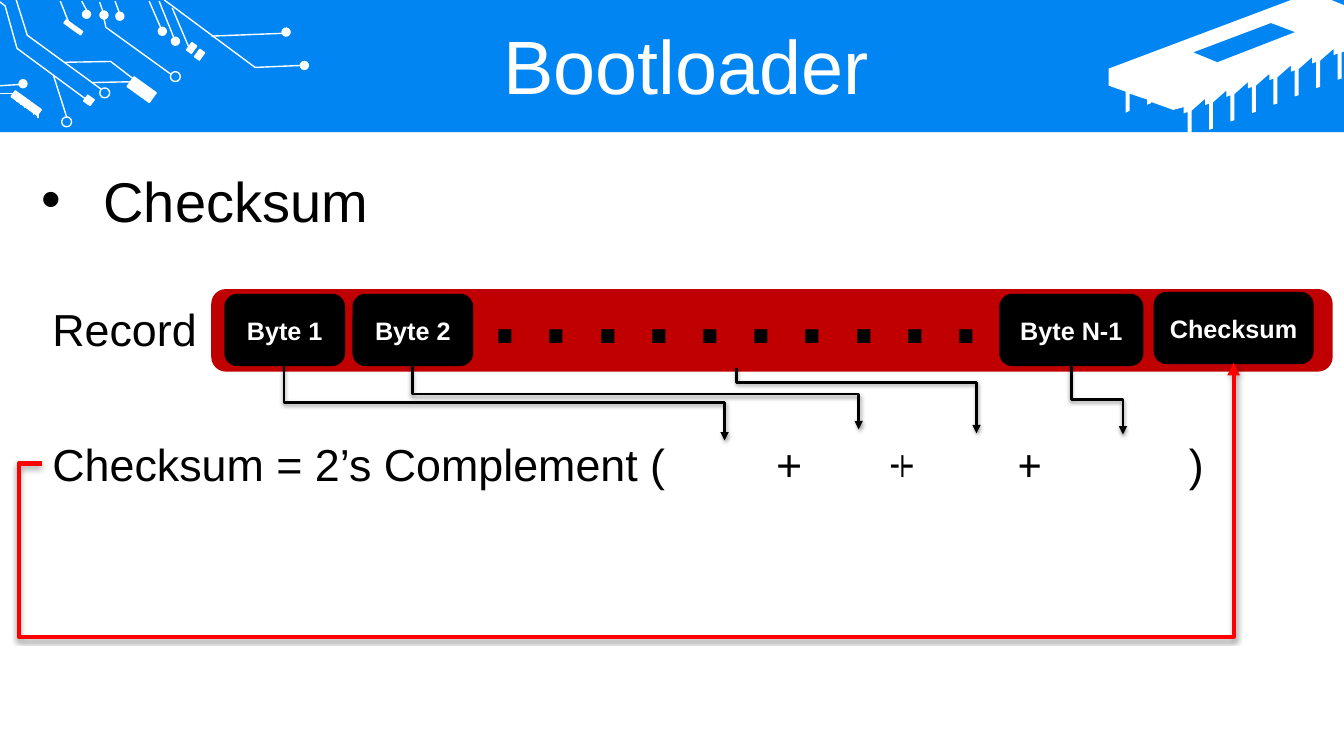
from collections import namedtuple

from lxml.etree import SubElement
from pptx import Presentation
from pptx.dml.color import RGBColor
from pptx.enum.shapes import MSO_CONNECTOR, MSO_SHAPE
from pptx.enum.text import MSO_ANCHOR, PP_ALIGN
from pptx.oxml.ns import qn
from pptx.util import Cm, Pt

COLORS = {"banner": "0085F2", "white": "FFFFFF", "black": "000000",
          "record": "C00000", "feedback": "FF0000"}
FORMATS = {
    "title": {"size": Pt(54), "color": "white"},
    "bullet": {"size": Pt(40), "color": "black"},
    "label": {"size": Pt(32), "color": "black"},
    "byte": {"size": Pt(18), "color": "white", "bold": True},
    "dots": {"size": Pt(66), "color": "black", "bold": True},
}
TILT = 35.7
Box = namedtuple("Box", "left top width height")

# Circuit and chip geometry, in cm from the top left of their own box
PADS = [(7.67, 1.65), (7.21, 0.81), (2.18, 0.36), (2.62, 0.38),
        (3.02, 0.41), (0.58, 2.11), (4.42, 1.04), (4.09, 0.79)]
RINGS = [(4.42, 1.93), (2.64, 2.34), (1.68, 3.07)]
PARTS = [(3.57, 2.26, 0.69, 0.3), (1.85, 0.69, 0.51, 0.1), (2.24, 2.53, 0.2, 0.18),
         (4.83, 1.21, 0.15, 0.23), (5.03, 1.38, 0.15, 0.23), (0.66, 2.6, 0.81, 0.18)]
TRACES = [
    [(4.14, 0), (6.43, 1.7), (7.59, 1.65)],
    [(0.41, 0), (0.69, 0.89), (2.54, 2.24)],
    [(0, 0.05), (0.13, 0.15), (0.43, 1.22), (2.18, 2.51)],
    [(1.63, 1.57), (2.79, 1.55), (3.35, 1.98)],
    [(2.62, 0.46), (2.67, 0.69), (4.32, 1.88)],
]
LEADS = [(1.52, 0.03, 1.73, 0.56), (2.06, 0.03, 2.18, 0.25), (2.51, 0.05, 2.59, 0.28),
         (2.9, 0.03, 3, 0.3), (3.76, 0.03, 4.09, 0.79), (4.01, 0.03, 4.39, 0.97),
         (5.33, 0.91, 7.11, 0.84), (4.34, 0.2, 4.75, 1.17), (0, 2.16, 0.48, 2.13),
         (0, 2.36, 0.36, 2.36), (1.35, 1.91, 1.68, 2.95), (2.34, 2.08, 3.3, 2.06)]
TEETH = [(0.41 + 0.11 * i, 2.29 + 0.08 * i, 0.41 + 0.11 * i, 2.57 + 0.08 * i)
         for i in range(6)]
PIN = [(0, 0), (0, 0.66), (-0.1, 0.69), (-0.1, 0.03), (-0.2, 0.07), (-0.2, -0.09)]
PINS = [(5.87 - 0.54 * i + x, 1.32 + 0.21 * i + y) for i in range(8) for x, y in PIN]
CHIP_EDGE = [(4.6, 0), (5.61, 0), (5.93, 0.13), (5.93, 1.3), *PINS,
             (1.63, 2.77), (1.07, 2.57), (1.07, 2.6), (0.97, 2.64), (0.97, 2.51),
             (0.53, 2.36), (0.53, 2.79), (0.43, 2.84), (0.43, 2.31), (0, 2.16), (0, 1.73)]
CHIP_WINDOW = [(4.09, 0.58), (2.13, 1.32), (2.74, 1.57), (4.7, 0.81)]


def rgb(name):
    return RGBColor.from_string(COLORS[name])


def place(box, x, y, width, height):
    return [Cm(v) for v in (box.left + x, box.top + y, width, height)]


def paint(shape, fill=None, line=None, weight=1):
    shape.shadow.inherit = False
    if fill:
        shape.fill.solid()
        shape.fill.fore_color.rgb = rgb(fill)
    else:
        shape.fill.background()
    if line:
        shape.line.color.rgb = rgb(line)
        shape.line.width = Pt(weight)
    else:
        shape.line.fill.background()
    return shape


def write(shape, text, style, align=PP_ALIGN.LEFT, anchor=MSO_ANCHOR.TOP, wrap=True):
    frame = shape.text_frame
    frame.word_wrap = wrap
    frame.vertical_anchor = anchor
    paragraph = frame.paragraphs[0]
    paragraph.alignment = align
    run = paragraph.add_run()
    run.text = text
    run.font.name = "Arial"
    for key, value in FORMATS[style].items():
        if key == "color":
            run.font.color.rgb = rgb(value)
        else:
            setattr(run.font, key, value)
    return paragraph


def indent(paragraph, margin, first):
    properties = paragraph._p.get_or_add_pPr()
    properties.set("marL", str(Cm(margin)))
    properties.set("indent", str(Cm(first)))
    return properties


def outline(shapes, box, contours, closed):
    """Build one freeform from contours given in cm within the box."""
    contours = [[(Cm(box.left + x), Cm(box.top + y)) for x, y in contour]
                for contour in contours]
    builder = shapes.build_freeform(*contours[0][0])
    for number, contour in enumerate(contours):
        if number:
            builder.move_to(*contour[0])
        builder.add_line_segments(contour[1:], close=closed)
    return builder.convert_to_shape()


def circuit(shapes, box):
    spots = [(MSO_SHAPE.OVAL, (x, y, 0.2, 0.2), "white") for x, y in PADS]
    spots += [(MSO_SHAPE.OVAL, (x, y, 0.25, 0.25), None) for x, y in RINGS]
    spots += [(MSO_SHAPE.RECTANGLE, part, "white") for part in PARTS]
    for kind, (x, y, width, height), fill in spots:
        spot = shapes.add_shape(kind, *place(box, x - width / 2, y - height / 2, width, height))
        spot.rotation = TILT
        paint(spot, fill, "white")
    for trace in TRACES:
        paint(outline(shapes, box, [trace], False), None, "white")
    for x1, y1, x2, y2 in LEADS + TEETH:
        lead = shapes.add_connector(MSO_CONNECTOR.STRAIGHT, *place(box, x1, y1, box.left + x2, box.top + y2))
        lead.line.color.rgb = rgb("white")
        lead.line.width = Pt(1)
        SubElement(lead._element.spPr, qn("a:effectLst"))


def banner(shapes, box):
    paint(shapes.add_shape(MSO_SHAPE.RECTANGLE, *place(box, 0, 0, box.width, box.height)), "banner")
    chip_box = Box(box.left + box.width - 5.93, box.top, 5.93, box.height)
    paint(outline(shapes, chip_box, [CHIP_EDGE, CHIP_WINDOW], True), "white")
    circuit(shapes, box)
    title = write(shapes.add_textbox(*place(box, 0.89, 0.76, 32.16, 2.01)),
                  "Bootloader", "title", PP_ALIGN.CENTER, MSO_ANCHOR.MIDDLE)
    indent(title, 1.27, -0.64)
    title.line_spacing = 0.9


def topic(shapes, box):
    properties = indent(write(shapes.add_textbox(*place(box, 0, 0, box.width, box.height)),
                              "Checksum", "bullet"), 1.57, -1.57)
    SubElement(properties, qn("a:buFont"), typeface="Arial")
    SubElement(properties, qn("a:buChar"), char="•")


def arrow(shapes, corners, color, weight, bends, upright=False):
    """Draw an elbow arrow; an upright one leaves and arrives vertically."""
    x1, y1, x2, y2 = corners
    if upright:
        cx, cy, dx, dy = (x1 + x2) / 2, (y1 + y2) / 2, (x2 - x1) / 2, (y2 - y1) / 2
        x1, y1, x2, y2 = cx + dy, cy - dx, cx - dy, cy + dx
    wire = shapes.add_connector(MSO_CONNECTOR.ELBOW, *map(Cm, (x1, y1, x2, y2)))
    wire.line.color.rgb = rgb(color)
    wire.line.width = Pt(weight)
    properties = wire._element.spPr
    if upright:
        properties.find(qn("a:xfrm")).set("rot", "16200000")
    geometry = properties.find(qn("a:prstGeom"))
    geometry.set("prst", f"bentConnector{len(bends) + 2}")
    guides = geometry.find(qn("a:avLst"))
    for number, bend in enumerate(bends, 1):
        SubElement(guides, qn("a:gd"), name=f"adj{number}", fmla=f"val {round(bend * 100000)}")
    SubElement(properties.find(qn("a:ln")), qn("a:tailEnd"), type="triangle")
    shadow = SubElement(SubElement(properties, qn("a:effectLst")), qn("a:outerShdw"),
                        blurRad=str(Pt(3.1)), dist=str(Pt(1.6)), dir="5400000", rotWithShape="0")
    tone = SubElement(shadow, qn("a:srgbClr"), val=COLORS["black"])
    SubElement(tone, qn("a:alpha"), val="38000")


def record(shapes, box):
    bar = shapes.add_shape(MSO_SHAPE.ROUNDED_RECTANGLE, *place(box, 5.36, 0, 28.19, 2.01))
    paint(bar, "record", "record", 2)
    for name, x, y, width in [("Byte 1", 5.69, 0.12, 2.97), ("Byte 2", 8.92, 0.12, 2.97),
                              ("Byte N-1", 25.22, 0.12, 3.56), ("Checksum", 29.11, 0.07, 3.96)]:
        byte = shapes.add_shape(MSO_SHAPE.ROUNDED_RECTANGLE, *place(box, x, y, width, 1.75))
        write(paint(byte, "black", "black", 2), name, "byte", PP_ALIGN.CENTER, MSO_ANCHOR.MIDDLE)
    write(shapes.add_textbox(*place(box, 12.09, -1.12, 12.95, 3.07)),
          ". . . . . . . . . .", "dots", PP_ALIGN.CENTER, wrap=False)
    write(shapes.add_textbox(*place(box, 1.07, 0.15, 4.32, 1.63)), "Record", "label")


def formula(shapes, box):
    terms = write(shapes.add_textbox(*place(box, 1.07, 3.55, 29.69, 1.63)),
                  "Checksum = 2’s Complement (\t+\t+\t+\t)", "label")
    stops = SubElement(terms._p.get_or_add_pPr(), qn("a:tabLst"))
    for position in (18.57, 21.41, 24.61, 28.83):
        SubElement(stops, qn("a:tab"), pos=str(Cm(position)), algn="ctr")
    for x, y in [(17.25, 3.78), (20.62, 3.63), (23.6, 3.6), (27.28, 3.63)]:
        slot = shapes.add_shape(MSO_SHAPE.ROUNDED_RECTANGLE, *place(box, x, y, 2.06, 1.42))
        paint(slot, None, "white", 2)


def wiring(shapes, box):
    for x1, y1, x2, y2, bend in [(7.16, 1.85, 18.26, 3.78, 0.5), (10.39, 1.72, 21.64, 3.5, 0.5),
                                 (18.57, 1.95, 24.61, 3.6, 0.22), (27, 1.85, 28.3, 3.63, 0.5)]:
        corners = (box.left + x1, box.top + y1, box.left + x2, box.top + y2)
        arrow(shapes, corners, "black", 2, [bend], upright=True)
    arrow(shapes, (box.left + 1.07, box.top + 4.36, box.left + 31.09, box.top + 1.82),
          "feedback", 3, [-0.02, -1.72])


def main():
    deck = Presentation()
    deck.slide_width, deck.slide_height = Cm(33.87), Cm(19.05)
    shapes = deck.slides.add_slide(deck.slide_layouts[6]).shapes
    banner(shapes, Box(0, 0, 33.87, 3.33))
    topic(shapes, Box(0.79, 4.06, 13.34, 1.96))
    diagram = Box(0, 7.32, 33.87, 8.8)
    for part in (record, formula, wiring):
        part(shapes, diagram)
    deck.save("out.pptx")


if __name__ == "__main__":
    main()
